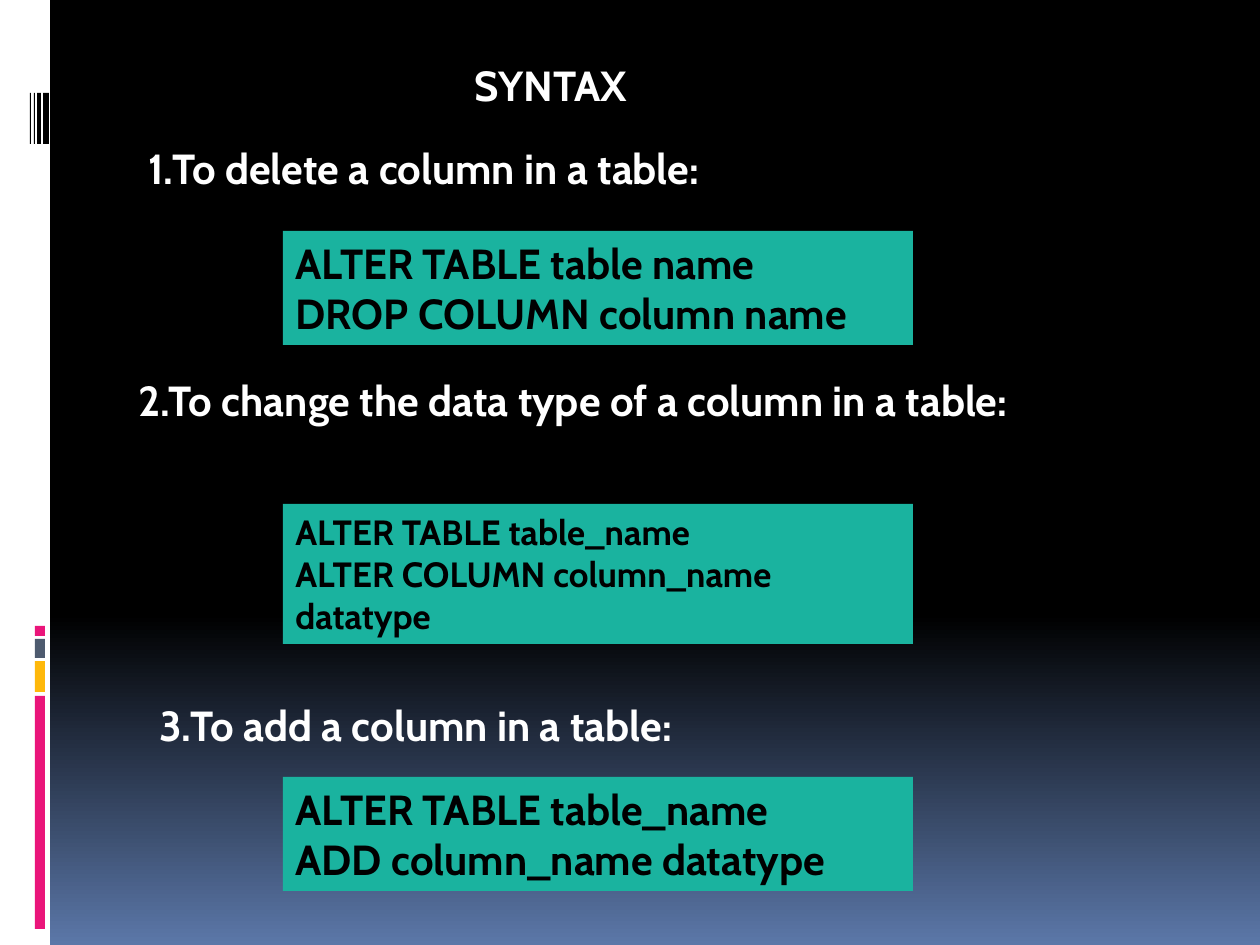
from pptx import Presentation
from pptx.dml.color import RGBColor
from pptx.enum.shapes import MSO_SHAPE
from pptx.enum.text import MSO_ANCHOR, MSO_AUTO_SIZE, PP_ALIGN
from pptx.util import Emu, Pt

RECTANGLE = MSO_SHAPE.RECTANGLE
TOP = MSO_ANCHOR.TOP
LEFT = PP_ALIGN.LEFT
GROW = MSO_AUTO_SIZE.SHAPE_TO_FIT_TEXT

EMU_PER_PX = 914400 / 126
PAGE_WIDTH, PAGE_HEIGHT = 1260, 945

BLACK = RGBColor(0x00, 0x00, 0x00)
WHITE = RGBColor(0xFF, 0xFF, 0xFF)
BLUE = RGBColor(0x5B, 0x77, 0xA8)
PINK = RGBColor(0xEA, 0x15, 0x7A)
YELLOW = RGBColor(0xFE, 0xB8, 0x0A)
SLATE = RGBColor(0x4E, 0x5B, 0x6F)
TEAL = RGBColor(0x1A, 0xB3, 0x9F)

FONT = "Cabin"
HEADING_SIZE = 24

# text, left, top, width, wraps
HEADINGS = [
    ("SYNTAX", 462, 53, 185, False),
    ("1.To delete a column in a table:", 136, 136, 651, True),
    ("2.To change the data type of a column in a table:", 126, 368, 903, True),
    ("3.To add a column in a table:", 147, 693, 543, False),
]
HEADING_HEIGHT = 63

# text, top, height, font size
STATEMENTS = [
    ("ALTER TABLE table name\nDROP COLUMN column name", 231, 114, 24),
    ("ALTER TABLE table_name\nALTER COLUMN column_name datatype", 504, 140, 20),
    ("ALTER TABLE table_name\nADD column_name datatype", 777, 114, 24),
]
STATEMENT_LEFT, STATEMENT_WIDTH = 283, 630

# top, height, colour
COLOUR_BLOCKS = [(626, 10, PINK), (639, 19, SLATE), (661, 31, YELLOW), (696, 233, PINK)]
BLOCK_LEFT, BLOCK_WIDTH = 35, 10

# left, width
BARCODE_BARS = [(30, 1), (34, 1), (37, 4), (43, 6)]
BARCODE_TOP, BARCODE_HEIGHT = 93, 51
MARGIN_WIDTH = 50


def px(*lengths):
    return [Emu(round(length * EMU_PER_PX)) for length in lengths]


def paint_background(page):
    fill = page.background.fill
    fill.gradient()
    fill.gradient_angle = 270
    for stop, position, colour in zip(fill.gradient_stops, (0.65, 1), (BLACK, BLUE)):
        stop.position = position
        stop.color.rgb = colour


def add_rectangle(page, left, top, width, height, colour):
    shape = page.shapes.add_shape(RECTANGLE, *px(left, top, width, height))
    shape.shadow.inherit = False
    shape.fill.solid()
    shape.fill.fore_color.rgb = colour
    shape.line.fill.background()
    return shape


def write(box, text, size, colour, wraps=True):
    frame = box.text_frame
    frame.word_wrap = wraps
    frame.auto_size = GROW
    frame.vertical_anchor = TOP
    para = frame.paragraphs[0]
    para.text = text
    para.alignment = LEFT
    para.font.name = FONT
    para.font.size = Pt(size)
    para.font.bold = True
    para.font.color.rgb = colour


def main():
    deck = Presentation()
    deck.slide_width, deck.slide_height = px(PAGE_WIDTH, PAGE_HEIGHT)
    page = deck.slides.add_slide(deck.slide_layouts[6])
    paint_background(page)

    add_rectangle(page, 0, 0, MARGIN_WIDTH, PAGE_HEIGHT, WHITE)
    for top, height, colour in COLOUR_BLOCKS:
        add_rectangle(page, BLOCK_LEFT, top, BLOCK_WIDTH, height, colour)
    for left, width in BARCODE_BARS:
        add_rectangle(page, left, BARCODE_TOP, width, BARCODE_HEIGHT, BLACK)

    for text, top, height, size in STATEMENTS:
        box = add_rectangle(page, STATEMENT_LEFT, top, STATEMENT_WIDTH, height, TEAL)
        write(box, text, size, BLACK)
    for text, left, top, width, wraps in HEADINGS:
        box = page.shapes.add_textbox(*px(left, top, width, HEADING_HEIGHT))
        write(box, text, HEADING_SIZE, WHITE, wraps)

    deck.save("out.pptx")


if __name__ == "__main__":
    main()
